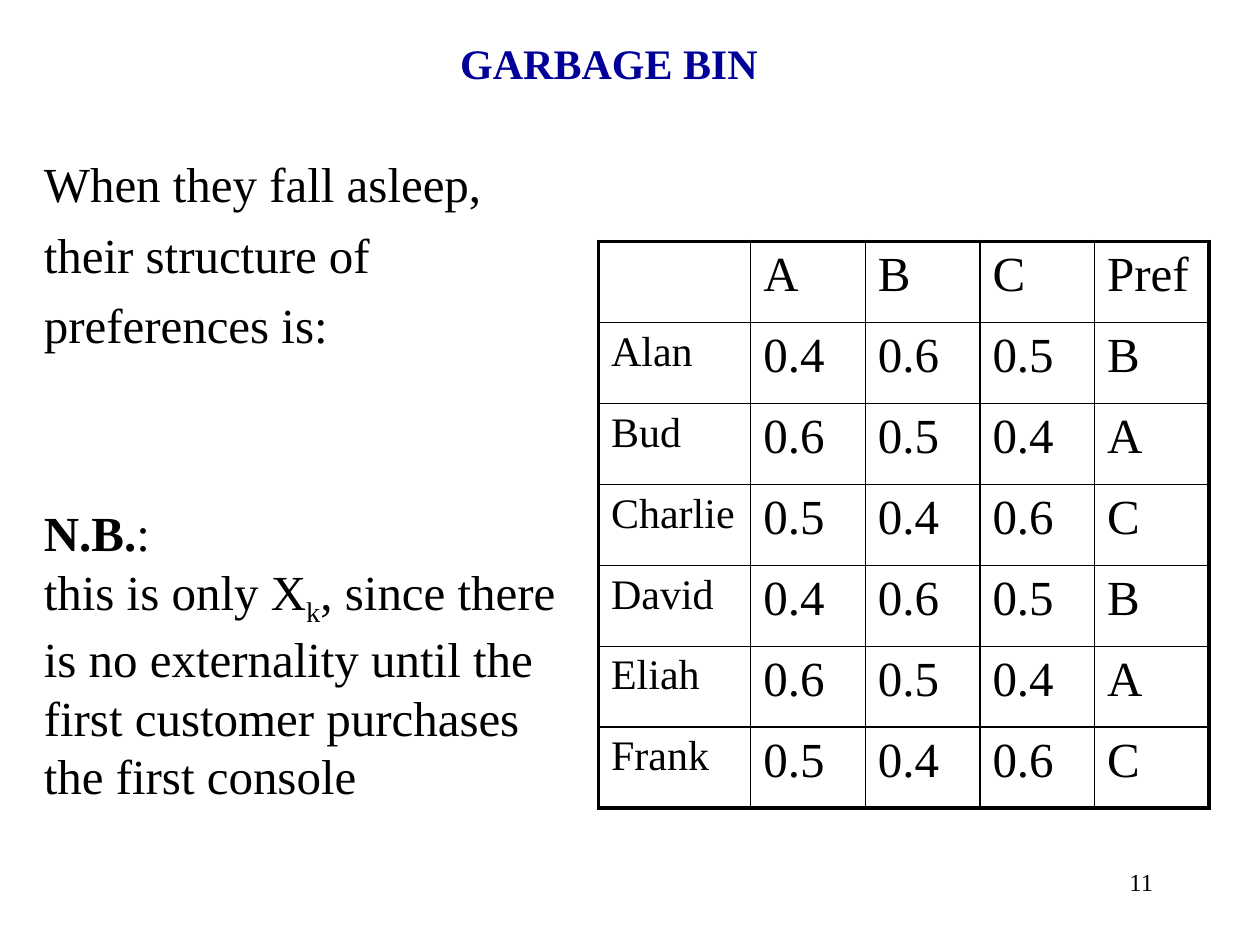
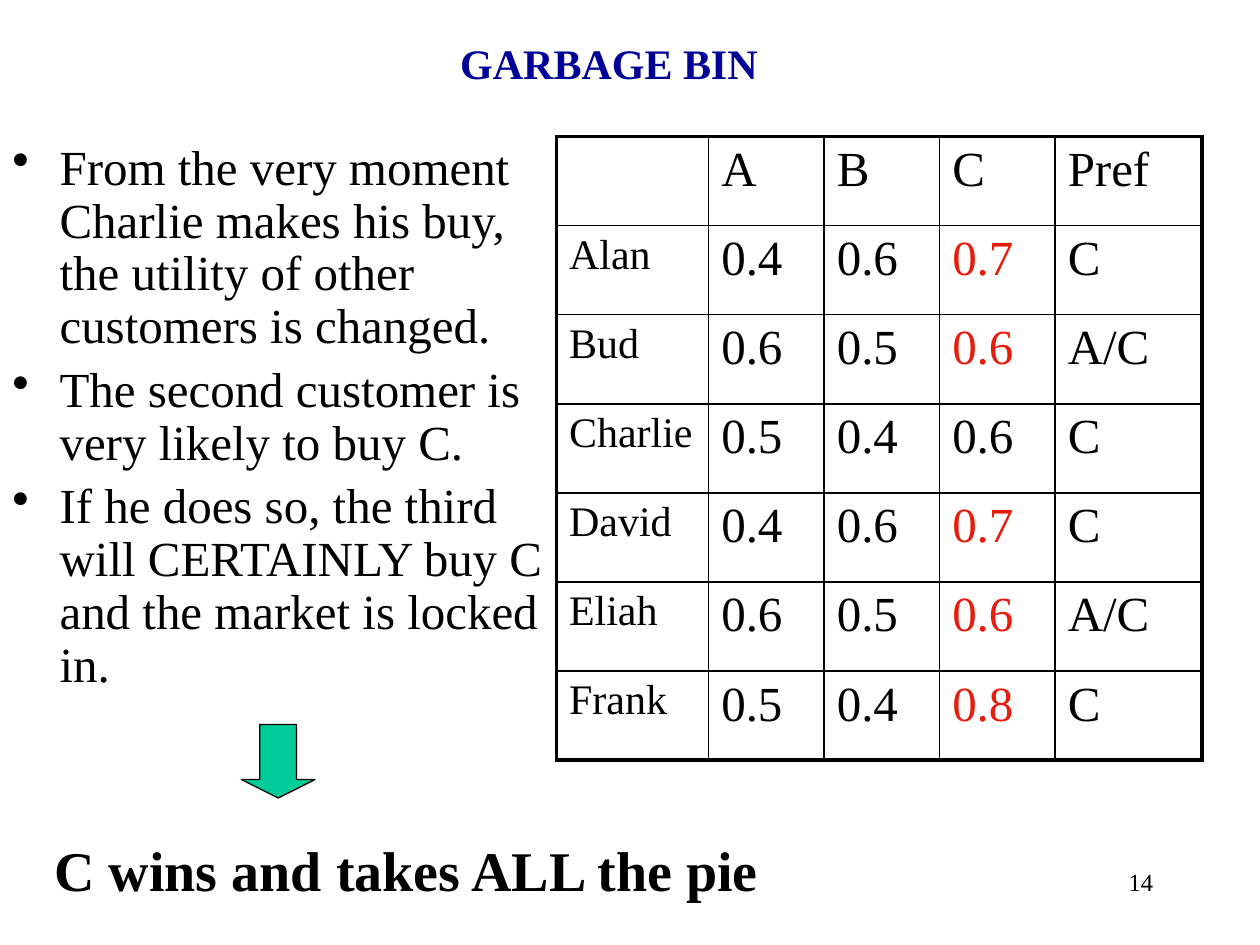
import pptx
import pptx.util
import pptx.dml.color
import pptx.enum.shapes
import pptx.enum.text
import pptx.oxml.ns
import lxml.etree

Pt = pptx.util.Pt
ALIGN = pptx.enum.text.PP_ALIGN

# Content
FONT = "Times New Roman"
BLACK, NAVY, RED, GREEN = "000000", "000099", "E81C0C", "00CC99"
TITLE = "GARBAGE BIN"
HEADER = ["", "A", "B", "C", "Pref"]
CUSTOMERS = ["Alan", "Bud", "Charlie", "David", "Eliah", "Frank"]

ASLEEP_ROWS = [
    ("0.4", "0.6", "0.5", "B"),
    ("0.6", "0.5", "0.4", "A"),
    ("0.5", "0.4", "0.6", "C"),
] * 2
ASLEEP_LINES = ["When they fall asleep,", "their structure of", "preferences is:"]
NOTE_LABEL = "N.B."
NOTE_PARTS = [
    ("this is only X", False),
    ("k", True),
    (", since there is no externality until the first customer purchases "
     "the first console", False),
]

LOCKED_ROWS = [
    ("0.4", "0.6", "0.7", "C"),
    ("0.6", "0.5", "0.6", "A/C"),
    ("0.5", "0.4", "0.6", "C"),
    ("0.4", "0.6", "0.7", "C"),
    ("0.6", "0.5", "0.6", "A/C"),
    ("0.5", "0.4", "0.8", "C"),
]
CHANGED = {(row, 3) for row in (1, 2, 4, 5, 6)}
LOCKED_POINTS = [
    "From the very moment Charlie makes his buy, the utility of other "
    "customers is changed.",
    "The second customer is very likely to buy C.",
    "If he does so, the third will CERTAINLY buy C and the market is locked in.",
]
CONCLUSION = "C wins and takes ALL the pie"


# Shared helpers
def colour(value):
    return pptx.dml.color.RGBColor.from_string(value)


def add_span(para, text, size=28, ink=BLACK, bold=False, subscript=False):
    span = para.add_run()
    span.text = text
    span.font.name = FONT
    span.font.size = Pt(size)
    span.font.bold = bold
    span.font.color.rgb = colour(ink)
    if subscript:
        span.font._element.set("baseline", "-25000")


def add_box(page, left, top, width, height):
    box = page.shapes.add_textbox(Pt(left), Pt(top), Pt(width), Pt(height))
    box.text_frame.word_wrap = True
    return box.text_frame


def add_line(page, place, text, align=ALIGN.LEFT, **style):
    para = add_box(page, *place).paragraphs[0]
    para.alignment = align
    add_span(para, text, **style)


def next_para(frame, first, space=0):
    para = frame.paragraphs[0] if first else frame.add_paragraph()
    para.space_before = Pt(space)
    return para


def add_bullet(para, indent):
    properties = para._p.get_or_add_pPr()
    properties.set("marL", str(Pt(indent)))
    properties.set("indent", str(-Pt(indent)))
    bullet = lxml.etree.SubElement(properties, pptx.oxml.ns.qn("a:buChar"))
    bullet.set("char", "•")


def set_borders(cell, widths):
    properties = cell._tc.get_or_add_tcPr()
    for position, (side, width) in enumerate(widths.items()):
        line = pptx.oxml.parse_xml(
            f'<a:ln{side} {pptx.oxml.ns.nsdecls("a")} w="{Pt(width)}">'
            f'<a:solidFill><a:srgbClr val="{BLACK}"/></a:solidFill></a:ln{side}>')
        properties.insert(position, line)


def add_preferences(page, place, column_widths, rows, changed=()):
    grid = [HEADER] + [[name, *row] for name, row in zip(CUSTOMERS, rows)]
    last_row, last_column = len(grid) - 1, len(HEADER) - 1
    table = page.shapes.add_table(
        len(grid), len(HEADER), *(Pt(length) for length in place)).table
    table.first_row = table.horz_banding = False
    for column, width in zip(table.columns, column_widths):
        column.width = Pt(width)
    for r, values in enumerate(grid):
        table.rows[r].height = Pt(place[3] / len(grid))
        for c, text in enumerate(values):
            cell = table.cell(r, c)
            cell.fill.background()
            edges = {"L": c == 0, "R": c == last_column,
                     "T": r == 0, "B": r == last_row}
            set_borders(cell, {side: 2.25 if outer else 1
                               for side, outer in edges.items()})
            if text:
                add_span(cell.text_frame.paragraphs[0], text,
                         size=24 if c == 0 else 28,
                         ink=RED if (r, c) in changed else BLACK)


def add_page(deck, number):
    page = deck.slides.add_slide(deck.slide_layouts[6])
    add_line(page, (228, 18, 240, 36), TITLE, ALIGN.CENTER,
             size=24, ink=NAVY, bold=True)
    add_line(page, (516, 492, 150, 36), number, ALIGN.RIGHT, size=14)
    return page


# Slides
def build_asleep(deck):
    page = add_page(deck, "11")
    add_preferences(page, (342, 138, 349, 324), [87] + [65.5] * 4, ASLEEP_ROWS)
    frame = add_box(page, 18, 84, 318, 378)
    for index, text in enumerate(ASLEEP_LINES):
        add_span(next_para(frame, index == 0, 6.9), text)
    label = next_para(frame, False, 85)
    add_span(label, NOTE_LABEL, bold=True)
    add_span(label, ":")
    note = next_para(frame, False)
    for text, subscript in NOTE_PARTS:
        add_span(note, text, subscript=subscript)


def build_locked(deck):
    page = add_page(deck, "14")
    add_preferences(page, (318, 78, 369, 356.4), [87, 66, 66, 66, 84],
                    LOCKED_ROWS, CHANGED)
    frame = add_box(page, 0, 78, 318, 356)
    for index, text in enumerate(LOCKED_POINTS):
        para = next_para(frame, index == 0, 6)
        para.line_spacing = 0.9
        add_bullet(para, 27)
        add_span(para, text)

    # Arrow to the conclusion
    arrow = page.shapes.add_shape(
        pptx.enum.shapes.MSO_SHAPE.DOWN_ARROW, Pt(138), Pt(414), Pt(42), Pt(42))
    arrow.adjustments[0], arrow.adjustments[1] = 0.5, 0.25
    arrow.shadow.inherit = False
    arrow.fill.solid()
    arrow.fill.fore_color.rgb = colour(GREEN)
    arrow.line.color.rgb = colour(BLACK)
    arrow.line.width = Pt(0.75)
    add_line(page, (24, 474, 516, 45), CONCLUSION, size=32, bold=True)


def main():
    deck = pptx.Presentation()
    deck.slide_width, deck.slide_height = Pt(720), Pt(540)
    build_asleep(deck)
    build_locked(deck)
    deck.save("out.pptx")


if __name__ == "__main__":
    main()
